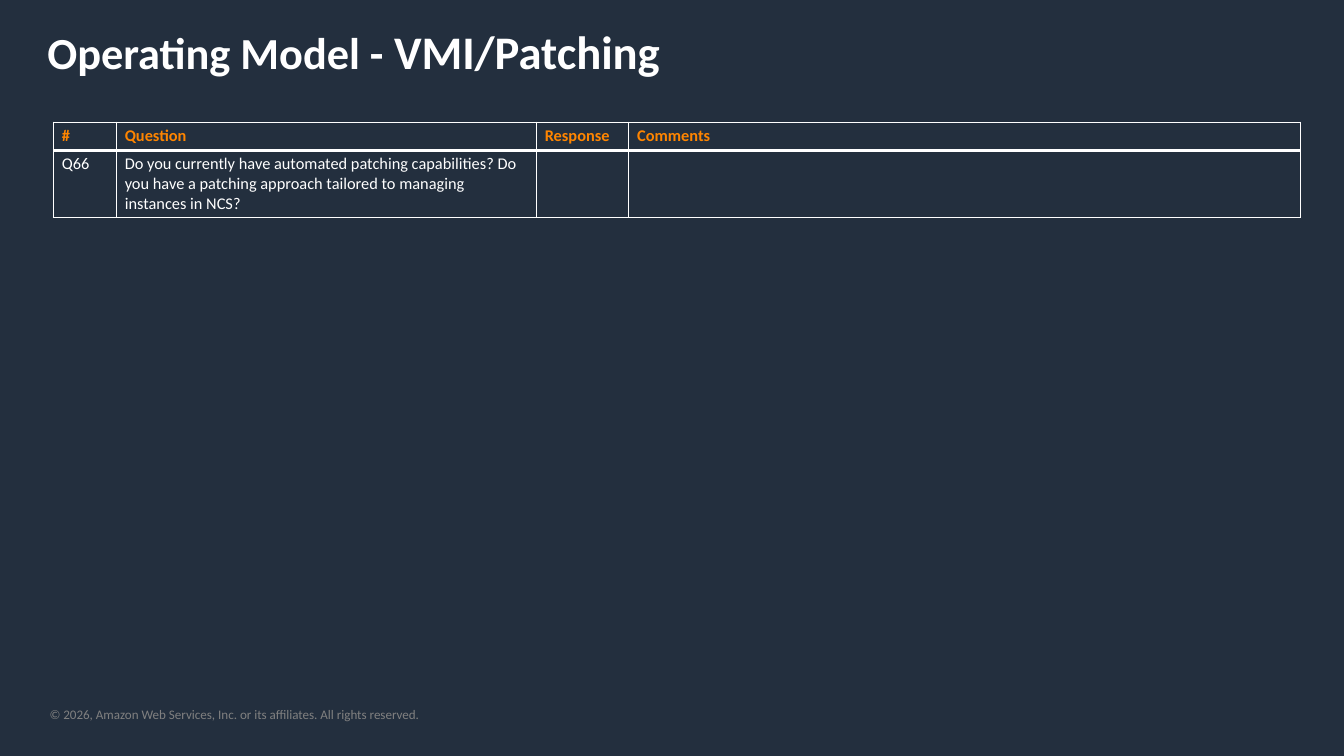
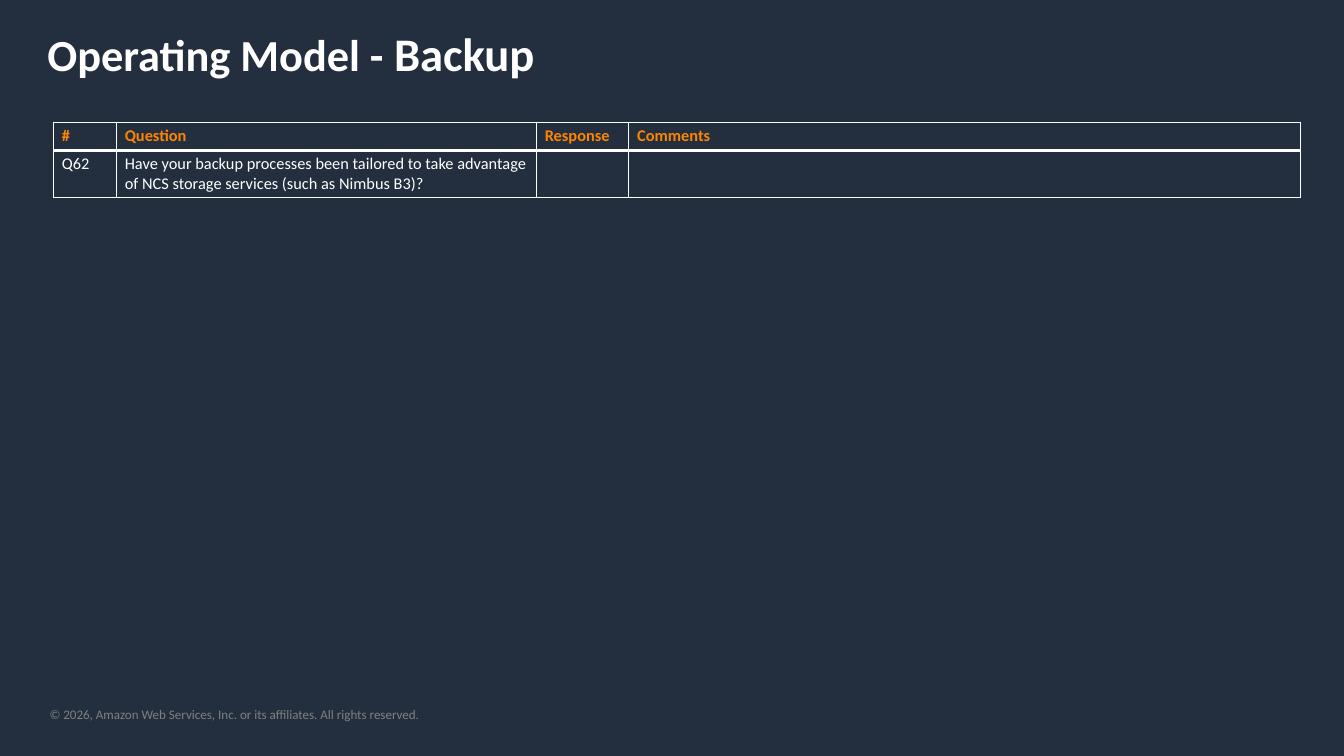
from dataclasses import dataclass

from lxml import etree
from pptx import Presentation
from pptx.dml.color import RGBColor
from pptx.oxml import ns
from pptx.util import Pt


@dataclass(frozen=True)
class Theme:
    font: str = "Calibri"
    background: str = "232F3E"
    light: str = "FFFFFF"
    accent: str = "FF8500"
    muted: str = "808080"
    topic_size: float = 38
    subject_size: float = 40
    table_size: float = 14
    footer_size: float = 11.2
    thin: float = 1
    thick: float = 3


@dataclass(frozen=True)
class Box:
    left: float
    top: float
    width: float
    height: float

    def lengths(self):
        return Pt(self.left), Pt(self.top), Pt(self.width), Pt(self.height)


THEME = Theme()
PAGE_WIDTH, PAGE_HEIGHT = 1152, 648
FOOTER_BOX = Box(42.5, 605.75, 560, 13.75)
TABLE_BOX = Box(45.75, 104.75, 1069.2, 40)
COLUMN_WIDTHS = (54, 360, 79.2, 576)
HEADINGS = ("#", "Question", "Response", "Comments")
TOPIC = "Operating Model - "
COPYRIGHT = "© 2026, Amazon Web Services, Inc. or its affiliates. All rights reserved."
PAGES = (
    (
        "VMI/Patching",
        Box(33.5, 16, 1098.75, 55.5),
        [("Q66", "Do you currently have automated patching capabilities? Do you have "
          "a patching approach tailored to managing instances in NCS?", "", "")],
    ),
    (
        "Backup",
        Box(33.5, 18, 1098.75, 55.5),
        [("Q62", "Have your backup processes been tailored to take advantage of NCS "
          "storage services (such as Nimbus B3)?", "", "")],
    ),
)


def add_span(para, words, size, color, bold=False):
    span = para.add_run()
    span.text = words
    span.font.name = THEME.font
    span.font.size = Pt(size)
    span.font.bold = bold
    span.font.color.rgb = RGBColor.from_string(color)


def add_text_box(page, box):
    frame = page.shapes.add_textbox(*box.lengths()).text_frame
    frame.word_wrap = True
    return frame


def add_title(page, box, subject):
    para = add_text_box(page, box).paragraphs[0]
    add_span(para, TOPIC, THEME.topic_size, THEME.light, True)
    add_span(para, subject, THEME.subject_size, THEME.light, True)


def add_footer(page, box):
    frame = add_text_box(page, box)
    frame.margin_left = frame.margin_top = frame.margin_right = frame.margin_bottom = 0
    add_span(frame.paragraphs[0], COPYRIGHT, THEME.footer_size, THEME.muted)


def set_borders(cell, top, bottom):
    properties = cell._tc.get_or_add_tcPr()
    widths = {"lnL": THEME.thin, "lnR": THEME.thin, "lnT": top, "lnB": bottom}
    for side, width in widths.items():
        line = etree.SubElement(properties, ns.qn(f"a:{side}"), w=str(Pt(width)))
        fill = etree.SubElement(line, ns.qn("a:solidFill"))
        etree.SubElement(fill, ns.qn("a:srgbClr"), val=THEME.light)


def add_question_table(page, box, questions):
    rows = [HEADINGS, *questions]
    table = page.shapes.add_table(len(rows), len(HEADINGS), *box.lengths()).table
    table.first_row = table.horz_banding = False
    for column, width in zip(table.columns, COLUMN_WIDTHS):
        column.width = Pt(width)
    for row_index, words_in_row in enumerate(rows):
        heading = row_index == 0
        top = THEME.thick if row_index == 1 else THEME.thin
        bottom = THEME.thick if heading else THEME.thin
        color = THEME.accent if heading else THEME.light
        for column_index, words in enumerate(words_in_row):
            cell = table.cell(row_index, column_index)
            set_borders(cell, top, bottom)
            cell.fill.background()
            if words:
                para = cell.text_frame.paragraphs[0]
                add_span(para, words, THEME.table_size, color, heading)


def add_question_page(deck, subject, title_box, questions):
    page = deck.slides.add_slide(deck.slide_layouts[6])
    page.background.fill.solid()
    page.background.fill.fore_color.rgb = RGBColor.from_string(THEME.background)
    add_footer(page, FOOTER_BOX)
    add_title(page, title_box, subject)
    add_question_table(page, TABLE_BOX, questions)


def main():
    deck = Presentation()
    deck.slide_width, deck.slide_height = Pt(PAGE_WIDTH), Pt(PAGE_HEIGHT)
    for subject, title_box, questions in PAGES:
        add_question_page(deck, subject, title_box, questions)
    deck.save("out.pptx")


if __name__ == "__main__":
    main()
